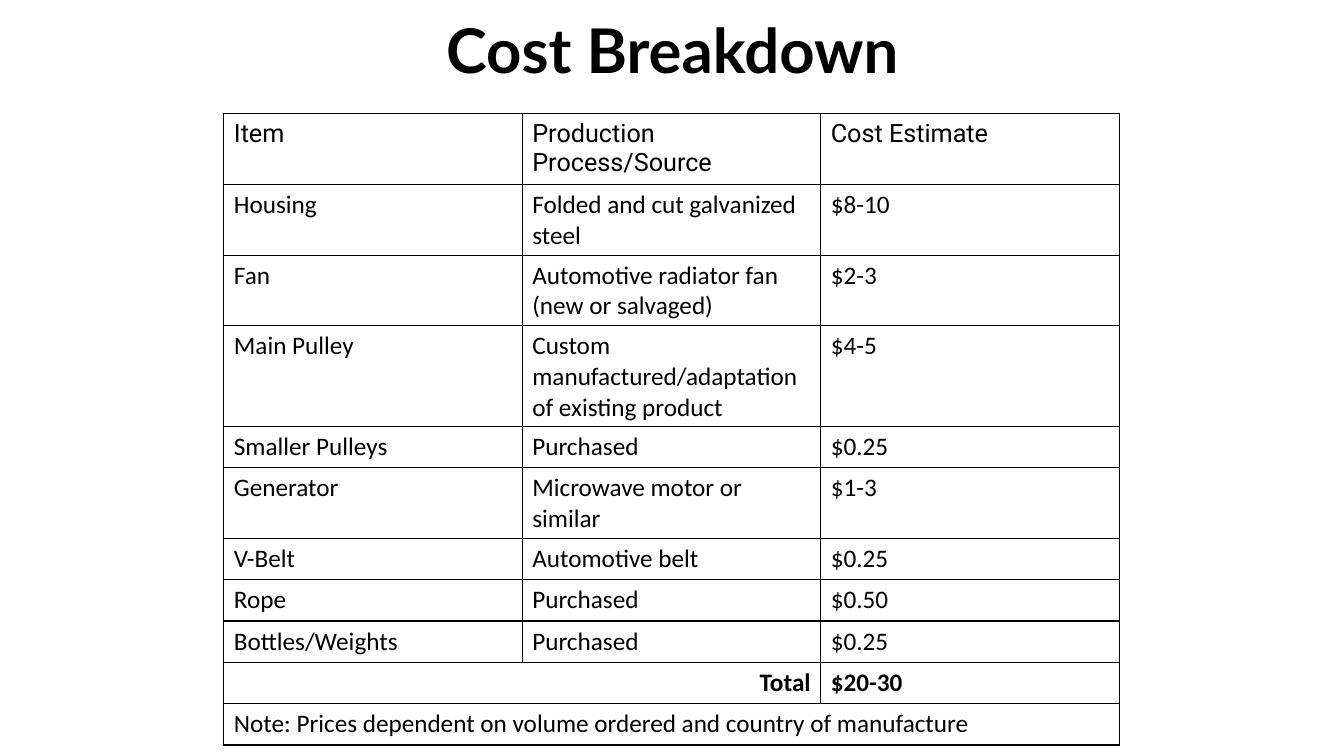
import pptx
import pptx.util
import pptx.oxml
import pptx.dml.color
import pptx.enum.text
from pptx.util import Inches

TITLE = "Cost Breakdown"
ROWS = [
    ("Item", "Production Process/Source", "Cost Estimate"),
    ("Housing", "Folded and cut galvanized steel", "$8-10"),
    ("Fan", "Automotive radiator fan (new or salvaged)", "$2-3"),
    ("Main Pulley", "Custom manufactured/adaptation of existing product", "$4-5"),
    ("Smaller Pulleys", "Purchased", "$0.25"),
    ("Generator", "Microwave motor or similar", "$1-3"),
    ("V-Belt", "Automotive belt", "$0.25"),
    ("Rope", "Purchased", "$0.50"),
    ("Bottles/Weights", "Purchased", "$0.25"),
    ("Total", None, "$20-30"),
    ("Note: Prices dependent on volume ordered and country of manufacture", None, None),
]
HEADER_ROW = 0
TOTAL_ROW = 9
COLORS = {"text": "000000", "border": "000000"}
ALIGN = pptx.enum.text.PP_ALIGN
TITLE_FORMAT = {"name": "Lato", "size": pptx.util.Pt(44), "bold": True}
CELL_FORMAT = {"name": "Calibri", "size": pptx.util.Pt(18), "bold": False}
ROW_FORMATS = {HEADER_ROW: {"name": "Roboto"}, TOTAL_ROW: {"bold": True}}
COLUMN_WIDTH = Inches(2.96)
ROW_HEIGHT = Inches(0.41)


def write(para, text, text_format, align):
    para.alignment = align
    span = para.add_run()
    span.text = text
    for name, value in text_format.items():
        setattr(span.font, name, value)
    span.font.color.rgb = pptx.dml.color.RGBColor.from_string(COLORS["text"])


def add_borders(cell):
    properties = cell._tc.get_or_add_tcPr()
    for side in ("lnL", "lnR", "lnT", "lnB"):
        properties.append(pptx.oxml.parse_xml(
            f'<a:{side} xmlns:a="http://schemas.openxmlformats.org/drawingml/2006/main" '
            f'w="{pptx.util.Pt(1)}"><a:solidFill><a:srgbClr val="{COLORS["border"]}"/>'
            f'</a:solidFill></a:{side}>'))


def add_title(page):
    box = page.shapes.add_textbox(Inches(0.92), 0, Inches(11.5), Inches(1.06))
    frame = box.text_frame
    frame.word_wrap = True
    frame.vertical_anchor = pptx.enum.text.MSO_ANCHOR.MIDDLE
    para = frame.paragraphs[0]
    para.line_spacing = 0.9
    write(para, TITLE, TITLE_FORMAT, ALIGN.CENTER)


def add_cost_table(page):
    column_count = len(ROWS[0])
    table = page.shapes.add_table(
        len(ROWS), column_count, Inches(2.22), Inches(1.13),
        COLUMN_WIDTH * column_count, ROW_HEIGHT * len(ROWS)).table
    table.first_row = False
    table.horz_banding = False
    for row_index, texts in enumerate(ROWS):
        table.rows[row_index].height = ROW_HEIGHT
        text_format = {**CELL_FORMAT, **ROW_FORMATS.get(row_index, {})}
        for column_index, text in enumerate(texts):
            cell = table.cell(row_index, column_index)
            add_borders(cell)
            cell.fill.background()
            if text is not None:
                right = row_index == TOTAL_ROW and column_index == 0
                write(cell.text_frame.paragraphs[0], text, text_format,
                      ALIGN.RIGHT if right else ALIGN.LEFT)
        covered = texts.count(None)
        if covered:
            table.cell(row_index, 0).merge(table.cell(row_index, covered))


def main():
    deck = pptx.Presentation()
    deck.slide_width = Inches(13.33)
    deck.slide_height = Inches(7.5)
    page = deck.slides.add_slide(deck.slide_layouts[6])
    add_title(page)
    add_cost_table(page)
    deck.save("out.pptx")


if __name__ == "__main__":
    main()
